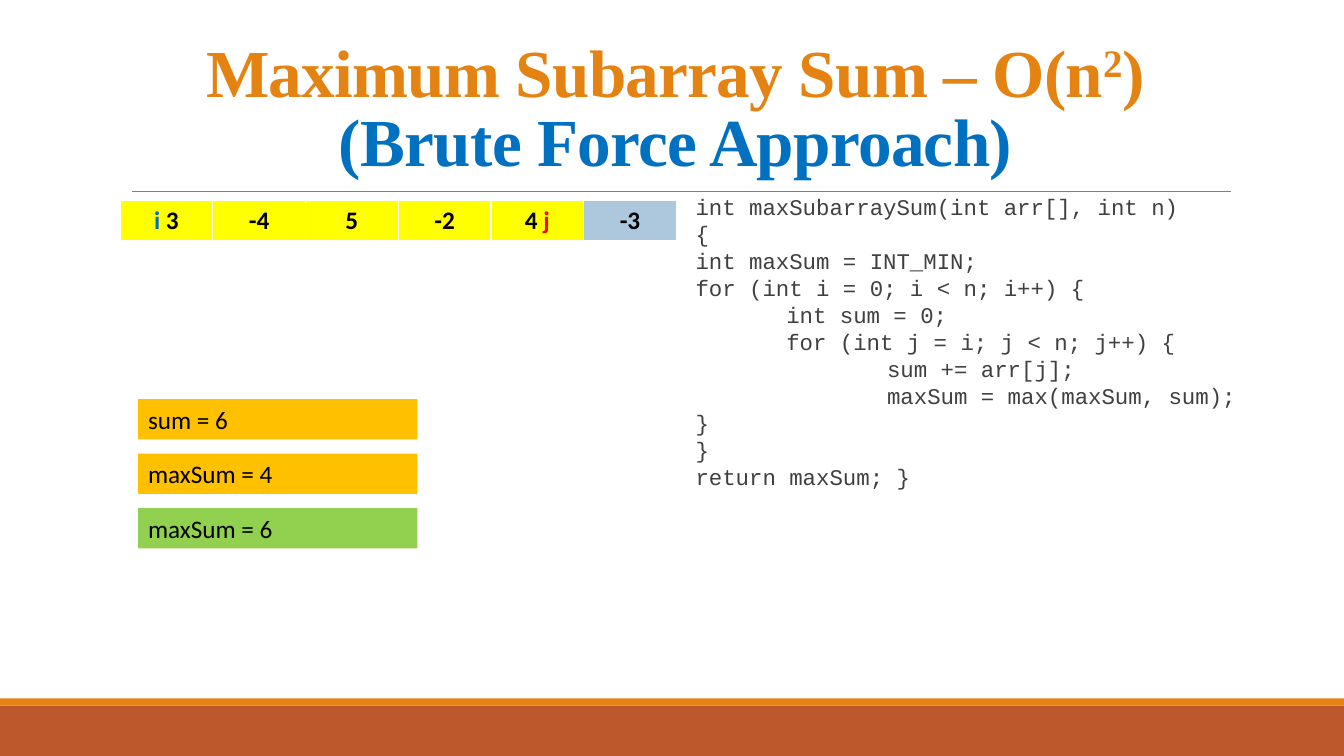
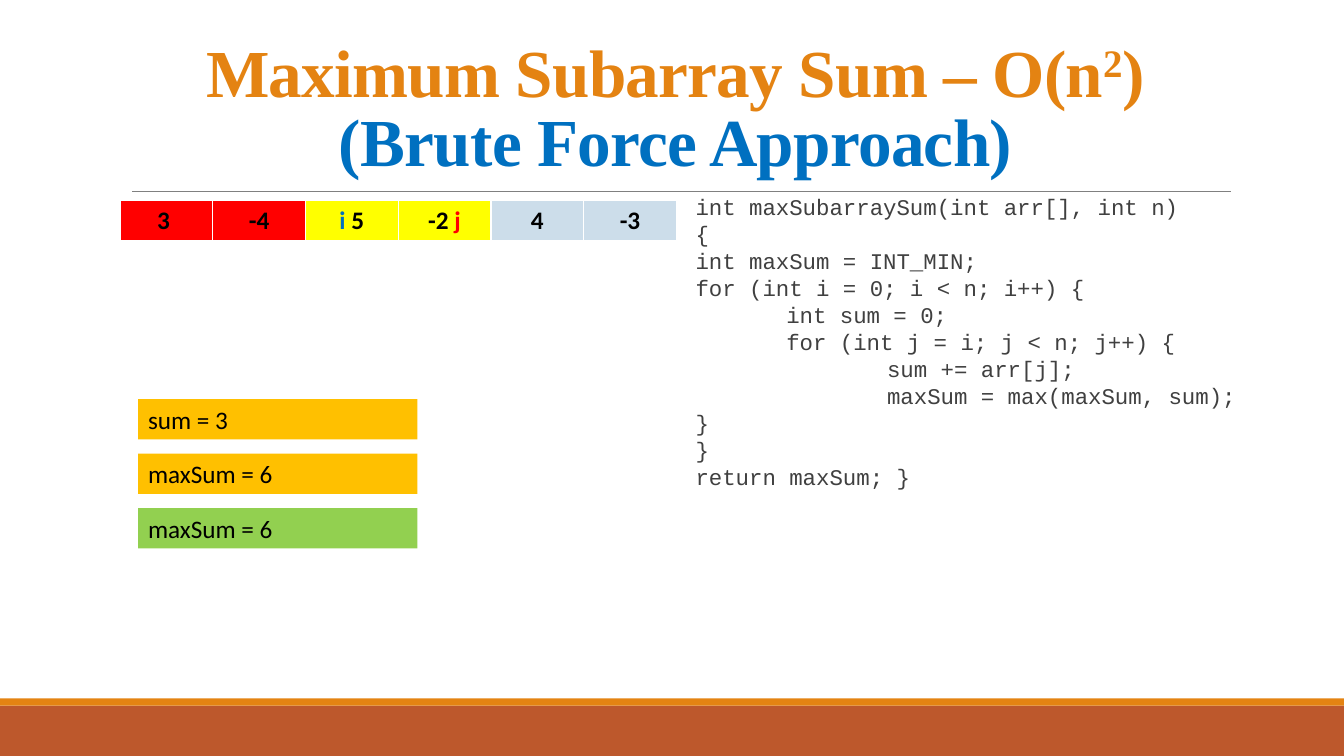
from lxml import etree
from pptx import Presentation
from pptx.dml.color import RGBColor
from pptx.enum.shapes import MSO_CONNECTOR, MSO_SHAPE
from pptx.enum.text import MSO_ANCHOR, MSO_AUTO_SIZE, PP_ALIGN
from pptx.oxml.ns import qn
from pptx.util import Emu, Pt

RECT = MSO_SHAPE.RECTANGLE
STRAIGHT = MSO_CONNECTOR.STRAIGHT
MIDDLE = MSO_ANCHOR.MIDDLE
NO_AUTOFIT = MSO_AUTO_SIZE.NONE
CENTER, LEFT = PP_ALIGN.CENTER, PP_ALIGN.LEFT

EMU_PER_PX = 9144  # 100 px to the inch
SLIDE_W, SLIDE_H = 1333, 750

WHITE, BLACK, RED, BLUE = "FFFFFF", "000000", "FF0000", "0070C0"
ORANGE, RUST, RULE_GREY, CODE_GREY = "E48312", "BD582C", "808080", "404040"
YELLOW, AMBER, GREEN = "FFFF00", "FFC000", "92D050"
STEEL, PALE_STEEL = "ADC8DD", "CCDDEA"
BODY_FONT, TITLE_FONT, CODE_FONT = "Calibri", "Times New Roman", "Courier New"

CODE = """int maxSubarraySum(int arr[], int n)
{
int maxSum = INT_MIN;
for (int i = 0; i < n; i++) {
\tint sum = 0;
\tfor (int j = i; j < n; j++) {
\t\tsum += arr[j];
\t\tmaxSum = max(maxSum, sum);
}
}
return maxSum; }"""
TAB_STOPS = (90, 190)

# Each step: array cells as (fill, runs), then the variable values
I_MARK, J_MARK = ("i ", BLUE), ("j", RED)
STEPS = [
    ([(YELLOW, [I_MARK, ("3", BLACK)]),
      (YELLOW, [("-4", BLACK)]),
      (YELLOW, [("5", BLACK)]),
      (YELLOW, [("-2", BLACK)]),
      (YELLOW, [("4 ", BLACK), J_MARK]),
      (STEEL, [("-3", BLACK)])],
     ["sum = 6", "maxSum = 4", "maxSum = 6"]),
    ([(RED, [("3 ", BLACK)]),
      (RED, [("-4", BLACK)]),
      (YELLOW, [I_MARK, ("5", BLACK)]),
      (YELLOW, [("-2 ", BLACK), J_MARK]),
      (PALE_STEEL, [("4", BLACK)]),
      (PALE_STEEL, [("-3", BLACK)])],
     ["sum = 3", "maxSum = 6", "maxSum = 6"]),
]


def px(n):
    return Emu(n * EMU_PER_PX)


def box(*lengths):
    return [px(n) for n in lengths]


def rgb(color):
    return RGBColor.from_string(color)


def add_run(p, text, size, font, color, bold=False):
    r = p.add_run()
    r.text = text
    r.font.size = Pt(size)
    r.font.name = font
    r.font.bold = bold
    r.font.color.rgb = rgb(color)
    return r


def add_rect(slide, x, y, w, h, color):
    s = slide.shapes.add_shape(RECT, *box(x, y, w, h))
    s.shadow.inherit = False
    s.fill.solid()
    s.fill.fore_color.rgb = rgb(color)
    s.line.fill.background()
    return s


def add_frame(slide):
    """Footer bands and the rule below the title."""
    add_rect(slide, 0, 700, SLIDE_W, 50, RUST)
    add_rect(slide, 0, 693, SLIDE_W, 7, ORANGE)
    rule = slide.shapes.add_connector(STRAIGHT, *box(131, 190, 1221, 190))
    rule.line.color.rgb = rgb(RULE_GREY)
    rule.line.width = Pt(0.5)
    etree.SubElement(rule._element.spPr, qn("a:effectLst"))


def set_title(slide):
    title = slide.shapes.title
    title.left, title.top, title.width, title.height = box(120, 31, 1100, 159)
    tf = title.text_frame
    tf.auto_size = NO_AUTOFIT
    tf.vertical_anchor = MIDDLE
    p = tf.paragraphs[0]
    p.alignment = CENTER
    p.line_spacing = 0.85

    def title_run(text, color):
        r = add_run(p, text, 48, TITLE_FONT, color, bold=True)
        r.font._element.set("spc", "-50")
        return r

    title_run("Maximum Subarray Sum – O(n", ORANGE)
    title_run("2", ORANGE).font._element.set("baseline", "30000")
    title_run(")", ORANGE)
    p.add_line_break()
    title_run("(Brute Force Approach)", BLUE)


def set_border(cell, side, points):
    ln = etree.SubElement(cell._tc.get_or_add_tcPr(), qn("a:" + side),
                          w=str(Pt(points)))
    fill = etree.SubElement(ln, qn("a:solidFill"))
    etree.SubElement(fill, qn("a:srgbClr"), val=WHITE)


def add_array(slide, cells):
    col_w, row_h = 92, 41
    table = slide.shapes.add_table(
        1, len(cells), *box(119, 199, col_w * len(cells), row_h)).table
    table.first_row = table.horz_banding = False
    for col, (fill, runs) in enumerate(cells):
        table.columns[col].width = px(col_w)
        cell = table.cell(0, col)
        for side, points in (("lnL", 1), ("lnR", 1), ("lnT", 1), ("lnB", 3)):
            set_border(cell, side, points)
        cell.fill.solid()
        cell.fill.fore_color.rgb = rgb(fill)
        cell.vertical_anchor = MIDDLE
        p = cell.text_frame.paragraphs[0]
        p.alignment = CENTER
        for text, color in runs:
            add_run(p, text, 18, BODY_FONT, color, bold=True)


def add_code(slide):
    tf = slide.shapes.add_textbox(*box(680, 190, 629, 452)).text_frame
    tf.word_wrap = True
    tf.margin_left, tf.margin_right = px(10), 0
    tf.margin_top = tf.margin_bottom = px(5)
    for i, line in enumerate(CODE.split("\n")):
        p = tf.add_paragraph() if i else tf.paragraphs[0]
        p.line_spacing = 0.9
        p.space_after = Pt(2)
        tabs = etree.SubElement(p._p.get_or_add_pPr(), qn("a:tabLst"))
        for stop in TAB_STOPS:
            etree.SubElement(tabs, qn("a:tab"), pos=str(px(stop)), algn="l")
        add_run(p, line, 16, CODE_FONT, CODE_GREY)


def add_variables(slide, values):
    for i, (text, color) in enumerate(zip(values, (AMBER, AMBER, GREEN))):
        s = add_rect(slide, 137, 396 + 54 * i, 277, 40, color)
        tf = s.text_frame
        tf.vertical_anchor = MIDDLE
        p = tf.paragraphs[0]
        p.alignment = LEFT
        add_run(p, text, 18, BODY_FONT, BLACK)


def main():
    prs = Presentation()
    prs.slide_width, prs.slide_height = box(SLIDE_W, SLIDE_H)
    title_only = prs.slide_layouts[5]
    for cells, values in STEPS:
        slide = prs.slides.add_slide(title_only)
        add_frame(slide)
        set_title(slide)
        add_array(slide, cells)
        add_code(slide)
        add_variables(slide, values)
    prs.save("out.pptx")


if __name__ == "__main__":
    main()
